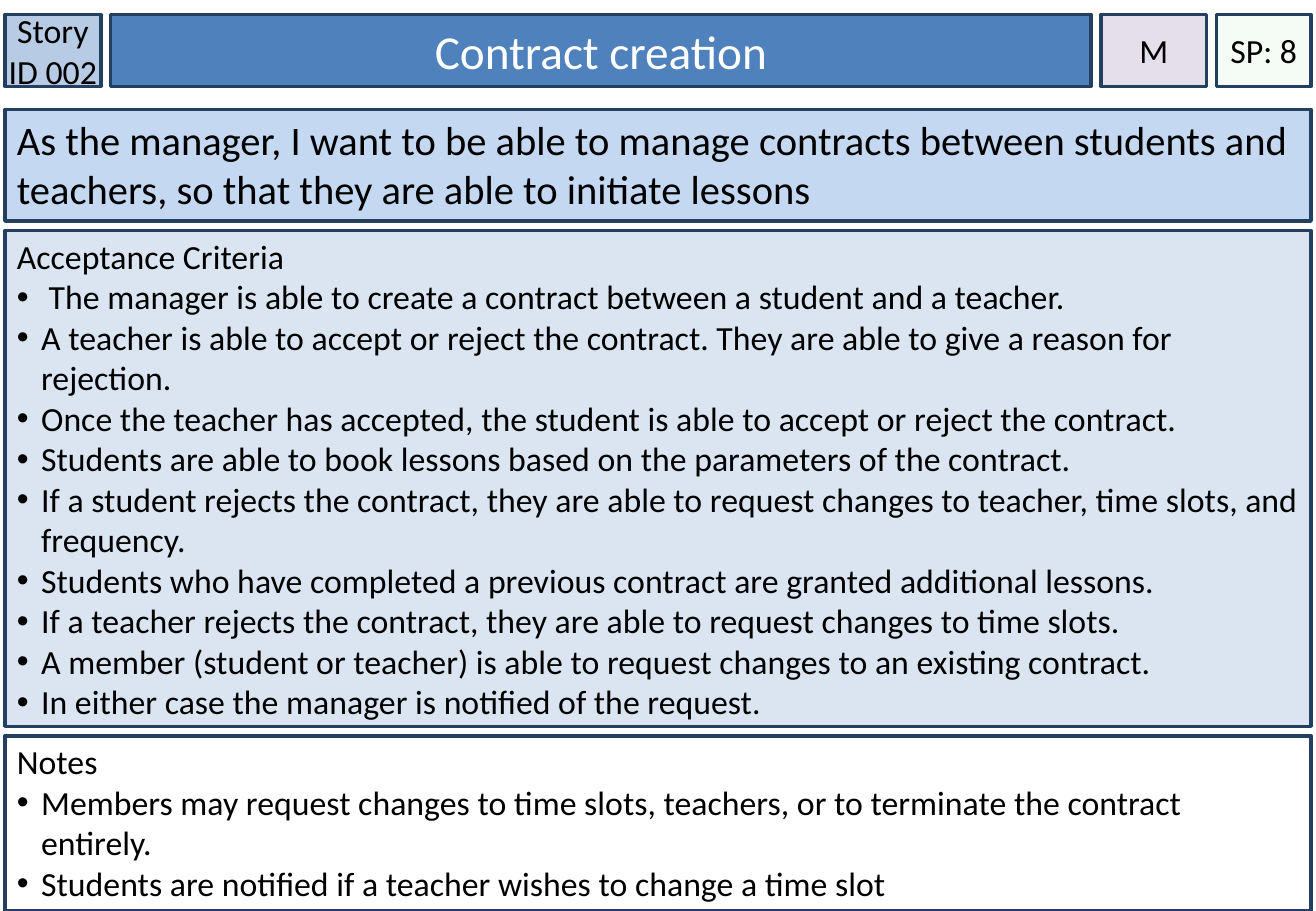
from pptx import Presentation
from pptx.dml.color import RGBColor
from pptx.enum.shapes import MSO_SHAPE
from pptx.enum.text import MSO_ANCHOR, PP_ALIGN
from pptx.oxml.ns import qn
from pptx.util import Emu, Pt
from lxml.etree import SubElement

SCALE = 9144
LEFT, WIDTH, GAP = 4, 1075, 8

HEADER = [
    ("Story ID 002", 79, "B7CCE4", {}),
    ("Contract creation", 807, "4F81BD", {"size": 28, "ink": "FFFFFF", "side": 10}),
    ("M", 87, "E5DFEC", {}),
    ("SP: 8", 78, "CCF0CD", {"alpha": 20}),
]
STORY = ("As the manager, I want to be able to manage contracts between students and "
         "teachers, so that they are able to initiate lessons")
CRITERIA = [
    " The manager is able to create a contract between a student and a teacher.",
    "A teacher is able to accept or reject the contract. They are able to give a reason for rejection.",
    "Once the teacher has accepted, the student is able to accept or reject the contract.",
    "Students are able to book lessons based on the parameters of the contract.",
    "If a student rejects the contract, they are able to request changes to teacher, time slots, and frequency.",
    "Students who have completed a previous contract are granted additional lessons.",
    "If a teacher rejects the contract, they are able to request changes to time slots.",
    "A member (student or teacher) is able to request changes to an existing contract.",
    "In either case the manager is notified of the request.",
]
NOTES = [
    "Members may request changes to time slots, teachers, or to terminate the contract entirely.",
    "Students are notified if a teacher wishes to change a time slot",
]
PANELS = [
    (92, "C5D8F1", STORY, [], {"size": 24, "top": 5}),
    (408, "DAE5F1", "Acceptance Criteria", CRITERIA, {}),
    (144, "FFFFFF", "Notes", NOTES, {}),
]


def px(count):
    return Emu(count * SCALE)


def color(value):
    return RGBColor.from_string(value)


def apply(target, values):
    for name, value in values.items():
        setattr(target, name, value)


class Card:
    font = "Calibri"
    edge = "244061"

    def __init__(self, deck):
        self.slide = deck.slides.add_slide(deck.slide_layouts[6])

    def box(self, x, y, w, h, fill, alpha=100):
        shape = self.slide.shapes.add_shape(MSO_SHAPE.RECTANGLE, px(x), px(y), px(w), px(h))
        shape.shadow.inherit = False
        shape.fill.solid()
        shape.fill.fore_color.rgb = color(fill)
        if alpha < 100:
            tint = shape._element.spPr.find(qn("a:solidFill")).find(qn("a:srgbClr"))
            SubElement(tint, qn("a:alpha"), val=str(alpha * 1000))
        shape.line.color.rgb = color(self.edge)
        shape.line.width = Pt(2)
        return shape.text_frame

    def frame(self, frame, anchor, side, top):
        apply(frame, {"word_wrap": True, "vertical_anchor": anchor,
                      "margin_left": px(side), "margin_right": px(side),
                      "margin_top": px(top), "margin_bottom": px(5)})

    def words(self, para, text, align, size, ink="000000"):
        para.alignment = align
        run = para.add_run()
        run.text = text
        apply(run.font, {"name": self.font, "size": Pt(size)})
        run.font.color.rgb = color(ink)

    def bullet(self, para):
        props = para._p.get_or_add_pPr()
        for name, value in {"marL": px(20), "indent": px(-20)}.items():
            props.set(name, str(value))
        SubElement(SubElement(props, qn("a:buClr")), qn("a:srgbClr"), val="000000")
        SubElement(props, qn("a:buFont"), typeface="Arial")
        SubElement(props, qn("a:buChar"), char="•")

    def label(self, x, y, w, h, fill, text, size=20, ink="000000", side=0, alpha=100):
        frame = self.box(x, y, w, h, fill, alpha)
        self.frame(frame, MSO_ANCHOR.MIDDLE, side, 5)
        self.words(frame.paragraphs[0], text, PP_ALIGN.CENTER, size, ink)

    def panel(self, x, y, w, h, fill, title, items, size=20, top=4):
        frame = self.box(x, y, w, h, fill)
        self.frame(frame, MSO_ANCHOR.TOP, 10, top)
        self.words(frame.paragraphs[0], title, PP_ALIGN.LEFT, size)
        for item in items:
            para = frame.add_paragraph()
            self.words(para, item, PP_ALIGN.LEFT, size)
            self.bullet(para)


def main():
    deck = Presentation()
    apply(deck, {"slide_width": px(1083), "slide_height": px(750)})
    card = Card(deck)
    x = LEFT
    for text, width, fill, style in HEADER:
        card.label(x, 12, width, 59, fill, text, **style)
        x += width + GAP
    y = 90
    for height, fill, title, items, style in PANELS:
        card.panel(LEFT, y, WIDTH, height, fill, title, items, **style)
        y += height + GAP
    deck.save("out.pptx")


if __name__ == "__main__":
    main()
